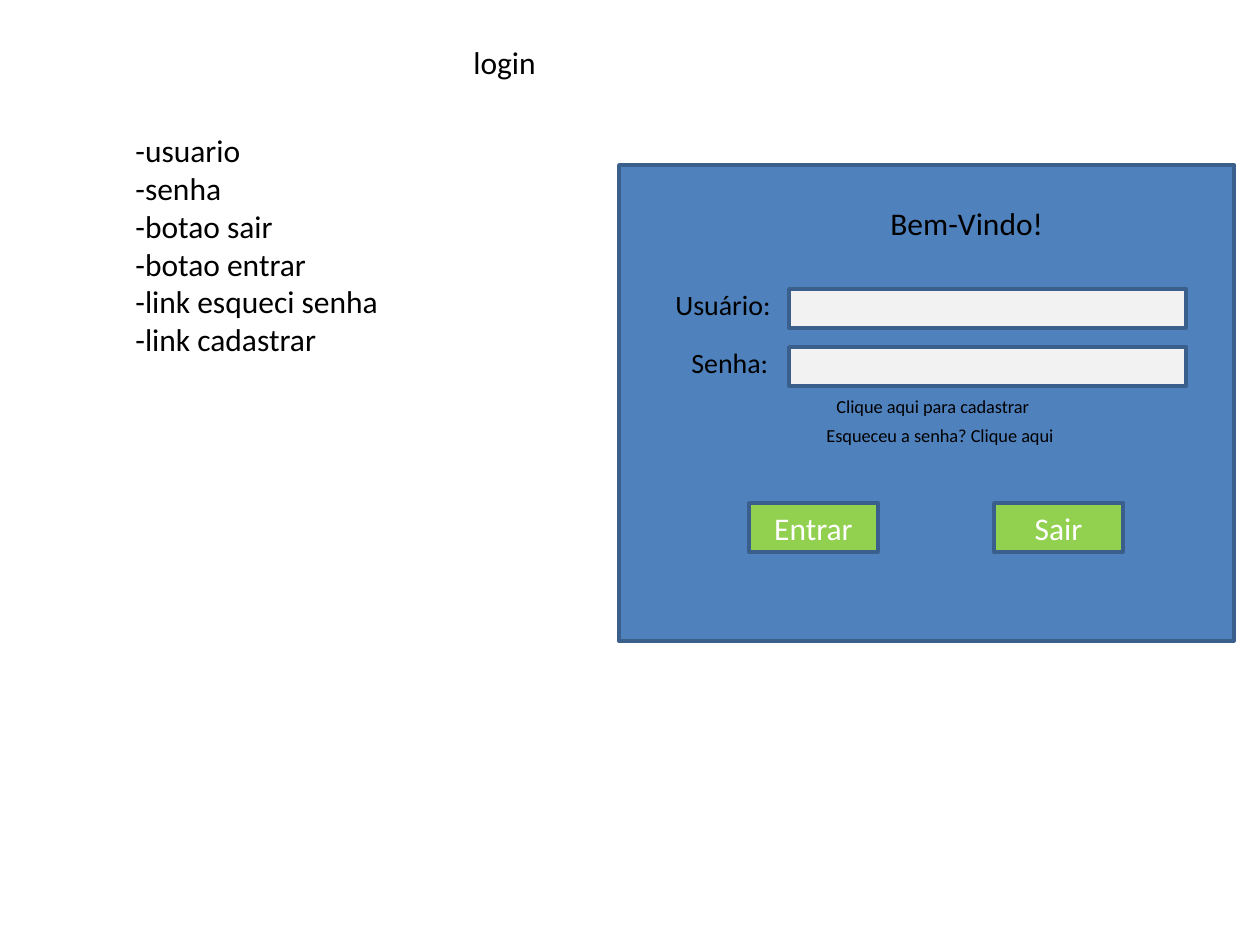
from dataclasses import dataclass

from pptx import Presentation, util as u
from pptx.dml.color import RGBColor
from pptx.enum import shapes, text

EMU_PER_PIXEL = 914400 / 126
BLACK, WHITE = "000000", "FFFFFF"
PANEL_BLUE, BORDER_BLUE = "4F81BD", "3A5F8C"
FIELD_GREY, BUTTON_GREEN = "F2F2F2", "92D050"


@dataclass
class Label:
    left: int
    top: int
    width: int
    height: int
    lines: list[str]
    size: float = 18
    wrap: bool = False


@dataclass
class Box:
    left: int
    top: int
    width: int
    height: int
    fill: str
    caption: str = ""


def px(length: int) -> u.Emu:
    return u.Emu(round(length * EMU_PER_PIXEL))


def rgb(colour: str) -> RGBColor:
    return RGBColor.from_string(colour)


def place(item: Label | Box) -> list[u.Emu]:
    return [px(n) for n in (item.left, item.top, item.width, item.height)]


def apply(target, values: dict) -> None:
    for name, value in values.items():
        setattr(target, name, value)


def write(paragraph, words: str, size: float, colour: str) -> None:
    run = paragraph.add_run()
    run.text = words
    apply(run.font, {"name": "Calibri", "size": u.Pt(size)})
    run.font.color.rgb = rgb(colour)


def draw_label(parent, label: Label) -> None:
    frame = parent.add_textbox(*place(label)).text_frame
    apply(frame, {"word_wrap": label.wrap,
                  "auto_size": text.MSO_AUTO_SIZE.SHAPE_TO_FIT_TEXT})
    for index, line in enumerate(label.lines):
        paragraph = frame.add_paragraph() if index else frame.paragraphs[0]
        write(paragraph, line, label.size, BLACK)


def draw_box(parent, box: Box) -> None:
    shape = parent.add_shape(shapes.MSO_SHAPE.RECTANGLE, *place(box))
    shape.shadow.inherit = False
    shape.fill.solid()
    shape.fill.fore_color.rgb = rgb(box.fill)
    shape.line.color.rgb = rgb(BORDER_BLUE)
    shape.line.width = u.Pt(2)
    if box.caption:
        shape.text_frame.vertical_anchor = text.MSO_ANCHOR.MIDDLE
        paragraph = shape.text_frame.paragraphs[0]
        paragraph.alignment = text.PP_ALIGN.CENTER
        write(paragraph, box.caption, 18, WHITE)


deck = Presentation()
apply(deck, {"slide_width": px(1260), "slide_height": px(945)})
slide = deck.slides.add_slide(deck.slide_layouts[6])

requirements = ["-usuario", "-senha", "-botao sair", "-botao entrar",
                "-link esqueci senha", "-link cadastrar"]
for note in (Label(461, 37, 88, 50, ["login"]),
             Label(123, 125, 922, 242, requirements, wrap=True)):
    draw_label(slide.shapes, note)

FIELD_TOP, FIELD_PITCH = 289, 58
login_form = slide.shapes.add_group_shape().shapes
draw_box(login_form, Box(619, 165, 615, 476, PANEL_BLUE))
for row in range(2):
    draw_box(login_form, Box(789, FIELD_TOP + row * FIELD_PITCH, 397, 39, FIELD_GREY))

for row, (left, width, name) in enumerate([(663, 122, "Usuário:"), (679, 103, "Senha:")]):
    draw_label(login_form, Label(left, FIELD_TOP - 8 + row * FIELD_PITCH, width, 47, [name], 16))

draw_label(login_form, Label(878, 198, 180, 50, ["Bem-Vindo!"]))
for left, top, link in ((824, 389, "Clique aqui para cadastrar"),
                        (814, 418, "Esqueceu a senha? Clique aqui")):
    draw_label(login_form, Label(left, top, 348, 37, [link], 10.5, True))

for left, action in ((749, "Entrar"), (994, "Sair")):
    draw_box(login_form, Box(left, 503, 129, 49, BUTTON_GREEN, action))

deck.save("out.pptx")
